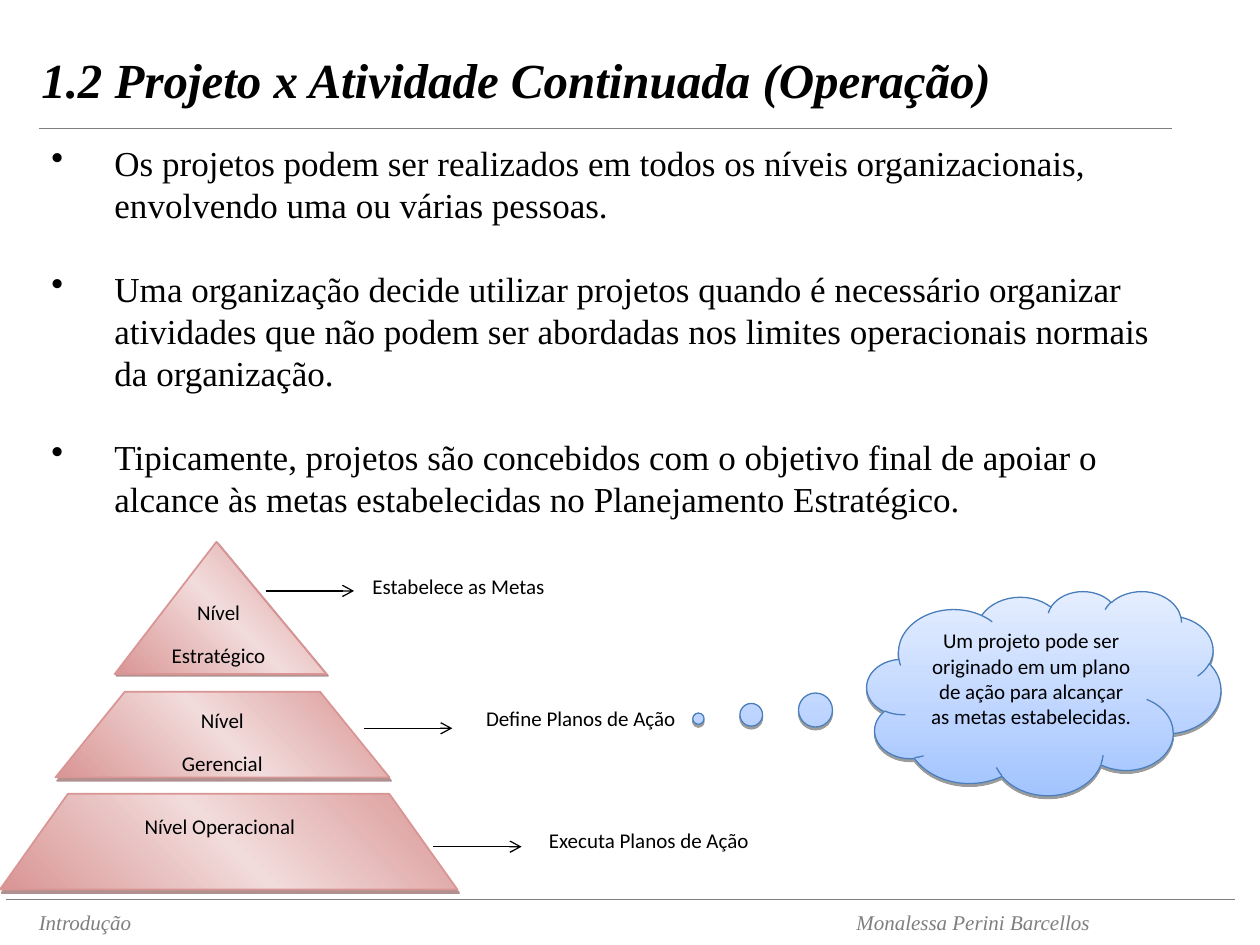
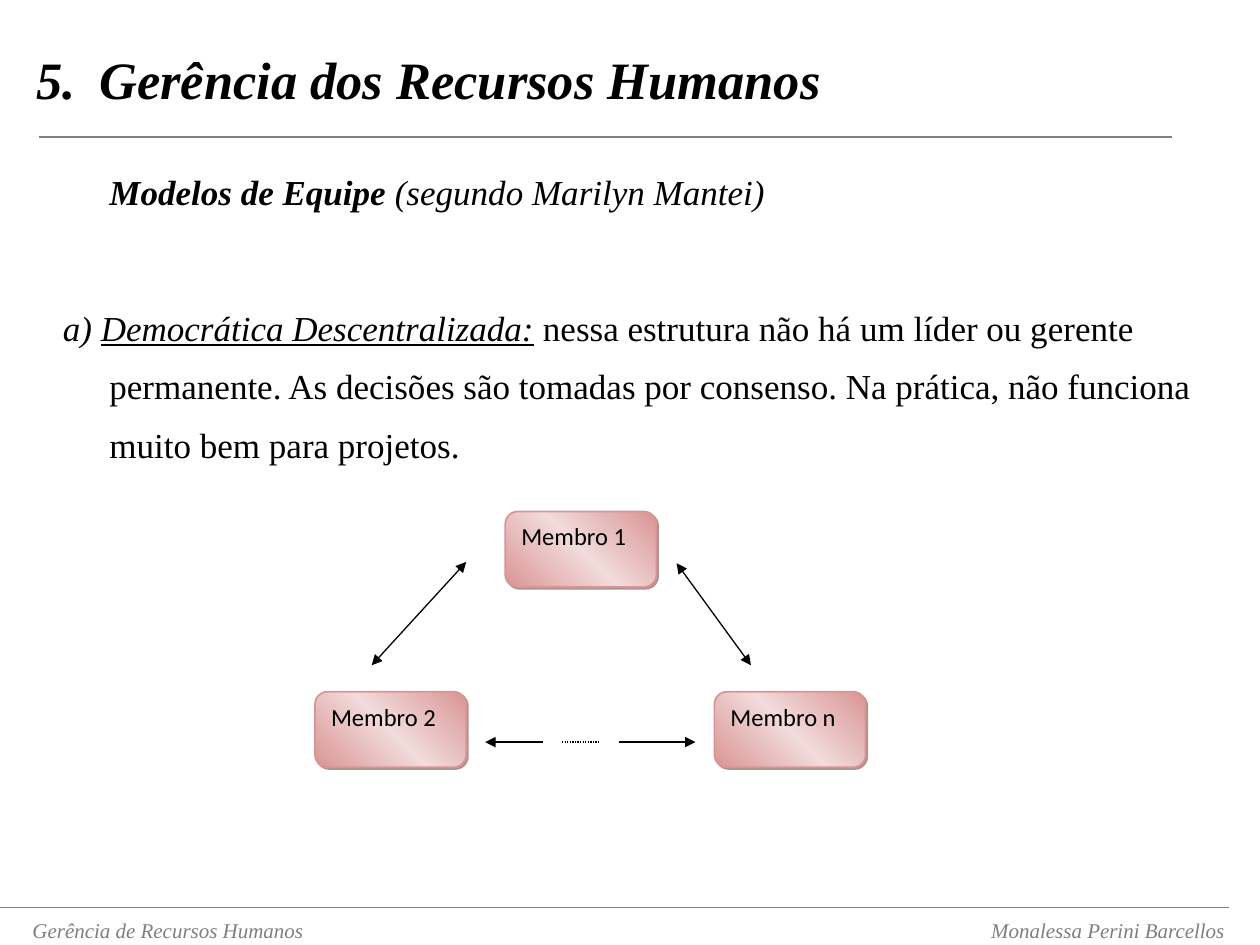
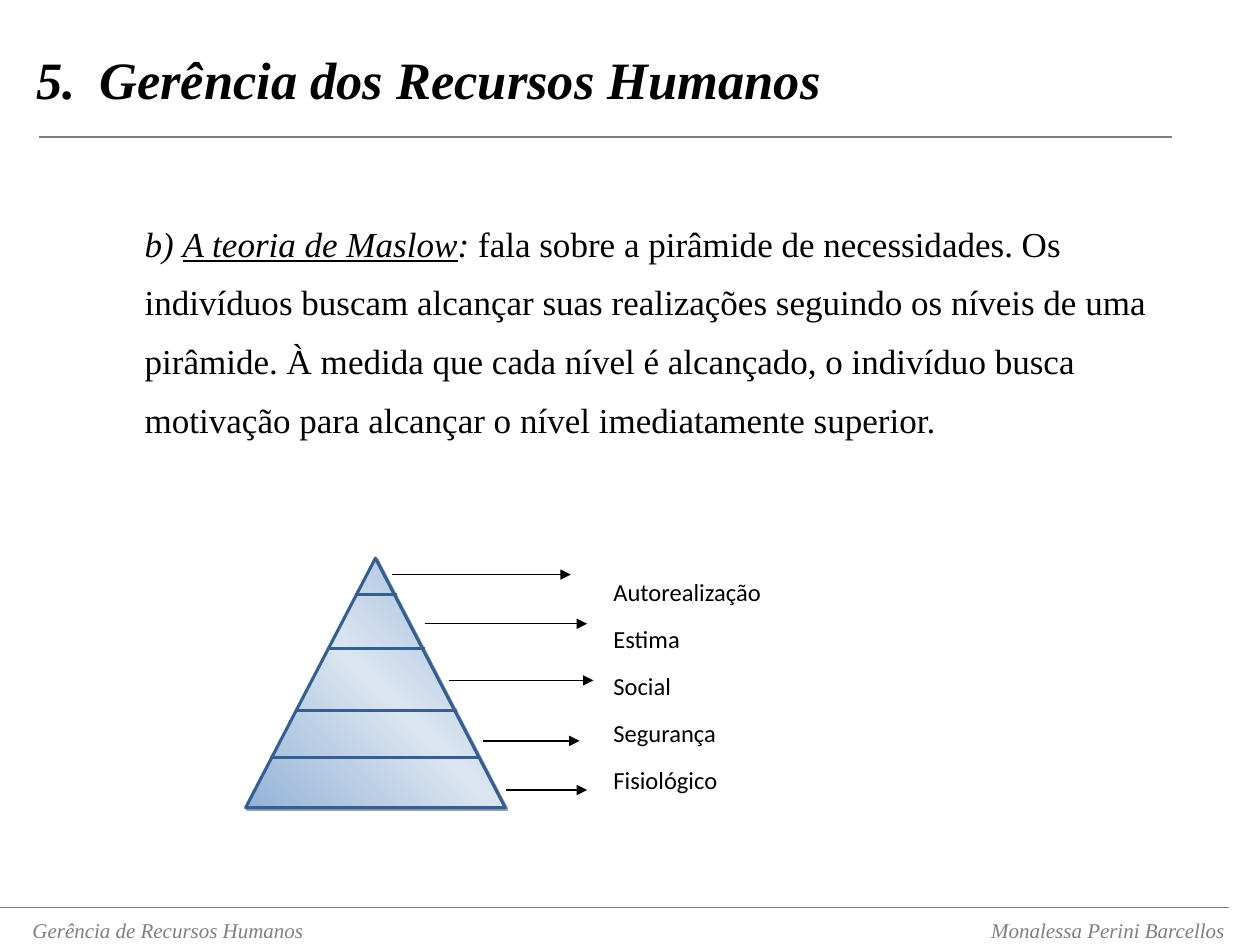
from dataclasses import dataclass

from lxml import etree
from pptx import Presentation
from pptx.dml.color import RGBColor
from pptx.enum.dml import MSO_LINE
from pptx.enum.shapes import MSO_CONNECTOR, MSO_SHAPE
from pptx.enum.text import MSO_ANCHOR, PP_ALIGN
from pptx.oxml.ns import qn
from pptx.util import Inches, Pt


@dataclass(frozen=True)
class Theme:
    serif: str = "Times New Roman"
    sans: str = "Calibri"
    ink: str = "000000"
    paper: str = "FFFFFF"
    grey: str = "7F7F7F"
    rose: tuple = ("D99594", "F2DBDB", "D99594")
    rose_shadow: str = "622423"
    steel: tuple = ("95B3D7", "DBE5F1", "95B3D7")
    steel_line: str = "365F91"
    steel_shadow: str = "243F60"
    sky: tuple = ("E5EEFF", "A3C4FF")
    sky_line: str = "4A7EBB"
    body: int = 20
    label: int = 14
    small: int = 12


@dataclass(frozen=True)
class Frame:
    """What the slides of one chapter share."""
    chapter: str
    title_left: float
    title_size: int
    rule_y: float
    footer_left: float
    footer_top: float
    author_right: float


THEME = Theme()
AUTHOR = "Monalessa Perini Barcellos"
INTRODUCTION = Frame("Introdução", 0.23, 28, 1.02, 0.21, 7.17, 8.75)
PEOPLE = Frame("Gerência de Recursos Humanos", 0.19, 30, 1.09, 0.16, 7.23, 9.82)
PEOPLE_TITLE = "5.\tGerência dos Recursos Humanos"
ITALIC = {"italic": True}
UNDERLINED = {"italic": True, "underline": True}


def add_xml(parent, tag, **attributes):
    return etree.SubElement(parent, qn(tag), {key: str(value) for key, value in attributes.items()})


def write(shape, paragraphs, size=THEME.small, font=THEME.sans, color=THEME.ink,
          bold=False, italic=False, align=PP_ALIGN.LEFT, anchor=MSO_ANCHOR.TOP,
          before=0, after=0, spacing=None, margin=0, indents=(0,), bullet=None,
          tab=None, wrap=True):
    """Each paragraph is a string or a list of (text, font overrides) runs."""
    frame = shape.text_frame
    frame.word_wrap = wrap
    frame.vertical_anchor = anchor
    for number, content in enumerate(paragraphs):
        paragraph = frame.add_paragraph() if number else frame.paragraphs[0]
        paragraph.alignment = align
        paragraph.space_before = Pt(before if number else 0)
        paragraph.space_after = Pt(after)
        if spacing:
            paragraph.line_spacing = spacing
        properties = paragraph._p.get_or_add_pPr()
        properties.set("marL", str(Inches(margin)))
        properties.set("indent", str(Inches(indents[number % len(indents)])))
        if bullet:
            add_xml(properties, "a:buChar", char=bullet)
        if tab:
            add_xml(add_xml(properties, "a:tabLst"), "a:tab", pos=Inches(tab), algn="l")
        runs = [(content, {})] if isinstance(content, str) else content
        for text, overrides in runs:
            run = paragraph.add_run()
            run.text = text
            run.font.name = font
            run.font.size = Pt(size)
            run.font.color.rgb = RGBColor.from_string(color)
            run.font.bold = bold
            run.font.italic = italic
            for key, value in overrides.items():
                setattr(run.font, key, value)


def add_text(slide, left, top, width, height, paragraphs, **formatting):
    box = slide.shapes.add_textbox(Inches(left), Inches(top), Inches(width), Inches(height))
    write(box, paragraphs, **formatting)


def add_line(slide, start, end, color=THEME.ink, width=0.75, head=None, tail=None, dash=None):
    line = slide.shapes.add_connector(MSO_CONNECTOR.STRAIGHT, *map(Inches, start + end))
    line.line.color.rgb = RGBColor.from_string(color)
    line.line.width = Pt(width)
    if dash:
        line.line.dash_style = dash
    properties = line.element.spPr
    stroke = properties.find(qn("a:ln"))
    for tag, kind in (("a:headEnd", head), ("a:tailEnd", tail)):
        if kind:
            add_xml(stroke, tag, type=kind)
    add_xml(properties, "a:effectLst")


def paint(shape, colors, angle, line, line_width, shadow, opacity, distance, direction):
    """Gradient, outline and hard shadow; angles run clockwise."""
    shape.fill.gradient()
    shape.fill.gradient_angle = 360 - angle
    properties = shape.element.spPr
    stops = properties.find(qn("a:gradFill")).find(qn("a:gsLst"))
    for stop in list(stops):
        stops.remove(stop)
    for number, color in enumerate(colors):
        stop = add_xml(stops, "a:gs", pos=100000 * number // (len(colors) - 1))
        add_xml(stop, "a:srgbClr", val=color)
    shape.line.color.rgb = RGBColor.from_string(line)
    shape.line.width = Pt(line_width)
    shape.shadow.inherit = False
    effect = add_xml(properties.find(qn("a:effectLst")), "a:outerShdw", blurRad=0,
                     dist=Pt(distance), dir=direction * 60000, algn="ctr", rotWithShape=0)
    add_xml(add_xml(effect, "a:srgbClr", val=shadow), "a:alpha", val=opacity * 1000)


def paint_rose(shape, distance=1.4, direction=45):
    paint(shape, THEME.rose, 135, THEME.rose[0], 1, THEME.rose_shadow, 50, distance, direction)


def add_shape(slide, kind, left, top, width, height, adjustments=()):
    shape = slide.shapes.add_shape(kind, Inches(left), Inches(top), Inches(width), Inches(height))
    for number, value in enumerate(adjustments):
        shape.adjustments[number] = value
    return shape


def add_pyramid_tier(slide, left, top, width, height, slant):
    right, bottom = left + width, top + height
    outline = [(right, bottom), (right - slant, top), (left + slant, top), (left, bottom)]
    corners = [(Inches(x), Inches(y)) for x, y in outline]
    builder = slide.shapes.build_freeform(*corners[0])
    builder.add_line_segments(corners[1:], close=True)
    paint_rose(builder.convert_to_shape(), 2.2, 64)


def add_member(slide, left, top, name):
    box = add_shape(slide, MSO_SHAPE.FLOWCHART_ALTERNATE_PROCESS, left, top, 1.2, 0.6)
    paint_rose(box)
    write(box, [name], size=THEME.label, after=10)


def add_framed_slide(deck, frame, title):
    slide = deck.slides.add_slide(deck.slide_layouts[6])
    add_text(slide, frame.title_left, 0, 9.6, 1.25, [title], size=frame.title_size,
             font=THEME.serif, bold=True, italic=True, anchor=MSO_ANCHOR.MIDDLE, tab=0.53)
    add_line(slide, (0.31, frame.rule_y), (9.3, frame.rule_y), THEME.grey, 1)
    line_left, line_y = frame.footer_left - 0.16, frame.footer_top - 0.03
    add_line(slide, (line_left, line_y), (line_left + 9.75, line_y), THEME.grey)
    author_width = 3
    for left, text, align in ((frame.footer_left, frame.chapter, PP_ALIGN.LEFT),
                              (frame.author_right - author_width, AUTHOR, PP_ALIGN.RIGHT)):
        add_text(slide, left, frame.footer_top, author_width, 0.3, [text], font=THEME.serif,
                 color=THEME.grey, italic=True, align=align)
    return slide


def build_project_levels(deck):
    slide = add_framed_slide(deck, INTRODUCTION, "1.2 Projeto x Atividade Continuada (Operação)")
    add_text(slide, 0.31, 1.07, 9.22, 4.5, [
        "Os projetos podem ser realizados em todos os níveis organizacionais, "
        "envolvendo uma ou várias pessoas.",
        "Uma organização decide utilizar projetos quando é necessário organizar atividades "
        "que não podem ser abordadas nos limites operacionais normais da organização.",
        "Tipicamente, projetos são concebidos com o objetivo final de apoiar o alcance "
        "às metas estabelecidas no Planejamento Estratégico.",
    ], size=THEME.body, font=THEME.serif, before=24, margin=0.5, indents=(-0.5,), bullet="•")

    paint_rose(add_shape(slide, MSO_SHAPE.ISOSCELES_TRIANGLE, 0.91, 4.3, 1.68, 1.05, [0.481]))
    add_pyramid_tier(slide, 0.44, 5.49, 2.65, 0.68, 0.55)
    add_pyramid_tier(slide, 0, 6.3, 3.63, 0.76, 0.54)
    centred = {"align": PP_ALIGN.CENTER, "after": 10}
    for left, top, level in ((0.98, 4.71, ["Nível", "Estratégico"]),
                             (1.01, 5.57, ["Nível", "Gerencial"]),
                             (0.99, 6.41, ["Nível Operacional"])):
        add_text(slide, left, top, 1.51, 0.53, level, **centred)
    for left, top, role in ((2.47, 4.5, "Estabelece as Metas"),
                            (3.44, 5.55, "Define Planos de Ação"),
                            (3.98, 6.52, "Executa Planos de Ação")):
        add_text(slide, left, top, 2.34, 0.53, [role], **centred)
    for left, y in ((2.11, 4.69), (2.89, 5.78), (3.44, 6.72)):
        add_line(slide, (left, y), (left + 0.7, y), tail="arrow")

    cloud = add_shape(slide, MSO_SHAPE.CLOUD_CALLOUT, 6.88, 4.69, 2.81, 1.62, [-0.976, 0.126])
    paint(cloud, THEME.sky, 90, THEME.sky_line, 0.75, THEME.ink, 38, 1.6, 90)
    write(cloud, ["Um projeto pode ser originado em um plano de ação "
                  "para alcançar as metas estabelecidas."], **centred)


def build_team_model(deck):
    slide = add_framed_slide(deck, PEOPLE, PEOPLE_TITLE)
    add_text(slide, 0.39, 1.17, 9.3, 1.71, [
        [("Modelos de Equipe ", {"bold": True, "italic": True}),
         ("(segundo Marilyn Mantei)", ITALIC)],
        [("a) ", ITALIC), ("Democrática Descentralizada:", UNDERLINED), (" ", ITALIC),
         ("nessa estrutura não há um líder ou gerente permanente. As decisões são tomadas "
          "por consenso. Na prática, não funciona muito bem para projetos.", {})],
    ], size=THEME.body, font=THEME.serif, spacing=1.4, before=44, margin=0.38,
        indents=(0, -0.37))

    for left, top, name in ((4.01, 4.06, "Membro 1"), (2.5, 5.49, "Membro 2"),
                            (5.67, 5.49, "Membro n")):
        add_member(slide, left, top, name)
    both_ends = {"head": "triangle", "tail": "triangle"}
    add_line(slide, (2.95, 5.28), (3.7, 4.46), **both_ends)
    add_line(slide, (5.37, 4.47), (5.96, 5.28), **both_ends)
    link_y = 5.89
    add_line(slide, (4.31, link_y), (3.85, link_y), tail="triangle")
    add_line(slide, (4.46, link_y), (4.76, link_y), dash=MSO_LINE.ROUND_DOT)
    add_line(slide, (4.91, link_y), (5.52, link_y), tail="triangle")


def build_maslow(deck):
    slide = add_framed_slide(deck, PEOPLE, PEOPLE_TITLE)
    add_text(slide, 0.67, 1.58, 9.08, 1.75, [
        [("b) ", ITALIC), ("A teoria de Maslow", UNDERLINED), (": ", ITALIC),
         ("fala sobre a pirâmide de necessidades. Os indivíduos buscam alcançar suas "
          "realizações seguindo os níveis de uma pirâmide. À medida que cada nível é "
          "alcançado, o indivíduo busca motivação para alcançar o nível imediatamente "
          "superior.", {})],
    ], size=THEME.body, font=THEME.serif, spacing=1.4, margin=0.38)

    pyramid = add_shape(slide, MSO_SHAPE.ISOSCELES_TRIANGLE, 1.95, 4.43, 2.06, 1.98)
    paint(pyramid, THEME.steel, 135, THEME.steel_line, 1.75, THEME.steel_shadow, 50, 1.4, 45)
    for left, right, y in ((2.82, 3.15, 4.72), (2.6, 3.37, 5.15),
                           (2.34, 3.63, 5.64), (2.14, 3.81, 6.01)):
        add_line(slide, (left, y), (right, y), THEME.steel_line, 1.75)

    needs = add_shape(slide, MSO_SHAPE.RECTANGLE, 4.77, 4.53, 2.83, 2.11)
    needs.fill.solid()
    needs.fill.fore_color.rgb = RGBColor.from_string(THEME.paper)
    needs.line.fill.background()
    needs.shadow.inherit = False
    write(needs, ["Autorealização", "Estima", "Social", "Segurança", "Fisiológico"],
          size=THEME.label, after=10)
    for left, right, y in ((3.11, 4.53, 4.56), (3.37, 4.66, 4.95), (3.56, 4.71, 5.4),
                           (3.83, 4.6, 5.88), (4.02, 4.66, 6.27)):
        add_line(slide, (left, y), (right, y), tail="triangle")


def main():
    deck = Presentation()
    deck.slide_width, deck.slide_height = Inches(10), Inches(7.5)
    build_project_levels(deck)
    build_team_model(deck)
    build_maslow(deck)
    deck.save("out.pptx")


if __name__ == "__main__":
    main()
